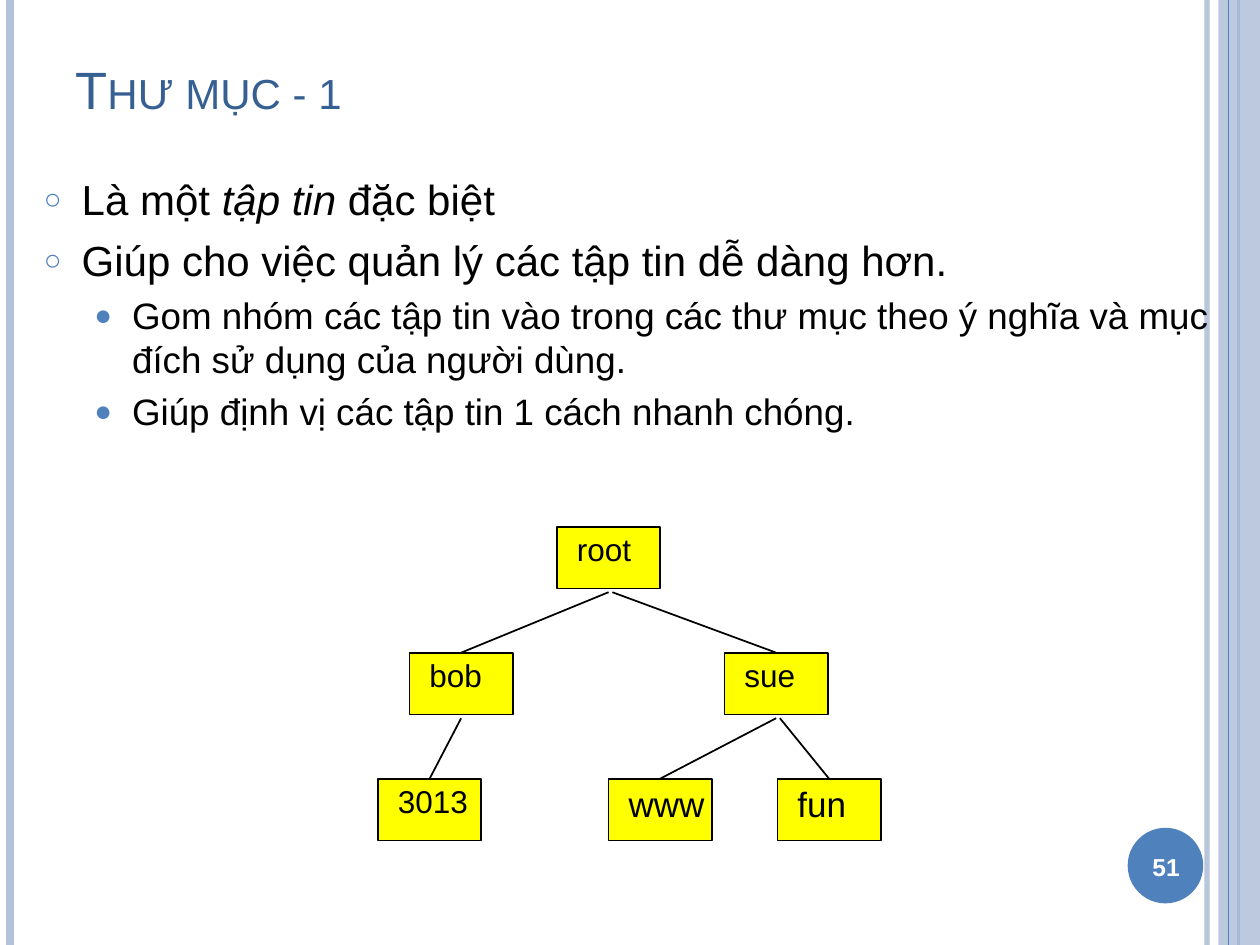
from lxml import etree
from pptx import Presentation
from pptx import util as u
from pptx.dml.color import RGBColor
from pptx.enum import shapes, text
from pptx.oxml import ns

BLACK = RGBColor(0x00, 0x00, 0x00)
WHITE = RGBColor(0xFF, 0xFF, 0xFF)
YELLOW = RGBColor(0xFF, 0xFF, 0x00)
BLUE = RGBColor(0x4F, 0x81, 0xBD)
NAVY = RGBColor(0x37, 0x60, 0x92)
PALE = RGBColor(0xB3, 0xC1, 0xDB)

BOX_W, BOX_H, GAP = 0.82, 0.49, 0.03


def add_run(para, words, size=18, color=BLACK, bold=False, italic=False, caps=False):
    run = para.add_run()
    run.text = words
    font = run.font
    font.name, font.size, font.color.rgb = "Arial", u.Pt(size), color
    font.bold, font.italic = bold, italic
    if caps:
        run._r.get_or_add_rPr().set("cap", "small")


def sub(parent, tag, **attrs):
    return etree.SubElement(parent, ns.qn(tag), attrs)


def fade(fill_owner, percent):
    """Set the opacity of the solid colour inside an element."""
    color = next(fill_owner.iter(ns.qn("a:srgbClr")))
    sub(color, "a:alpha", val=str(percent * 1000))


def add_bullet(para, char, size, left, hang):
    props = para._p.get_or_add_pPr()
    props.set("marL", str(u.Inches(left)))
    props.set("indent", str(-u.Inches(hang)))
    sub(sub(props, "a:buClr"), "a:srgbClr", val=str(BLUE))
    sub(props, "a:buSzPct", val=str(size * 1000))
    sub(props, "a:buFont", typeface="Arial")
    sub(props, "a:buChar", char=char)


class Deck:
    def __init__(self, width, height):
        self.show = Presentation()
        self.show.slide_width = u.Inches(width)
        self.show.slide_height = u.Inches(height)
        self.slide = self.show.slides.add_slide(self.show.slide_layouts[6])

    def shape(self, kind, left, top, width, height, fill, edge=None, alpha=None):
        item = self.slide.shapes.add_shape(kind, *map(u.Inches, (left, top, width, height)))
        item.shadow.inherit = False
        item.fill.solid()
        item.fill.fore_color.rgb = fill
        if edge is None:
            item.line.fill.background()
        else:
            item.line.color.rgb = edge
            item.line.width = u.Pt(1)
        if alpha:
            fade(item._element.spPr, alpha)
        return item

    def line(self, start, end, color=BLACK, width=1, alpha=None):
        item = self.slide.shapes.add_connector(
            shapes.MSO_CONNECTOR.STRAIGHT, *map(u.Inches, (*start, *end)))
        item.line.color.rgb = color
        item.line.width = u.Pt(width)
        if alpha:
            fade(item._element.spPr, alpha)
        sub(item._element.spPr, "a:effectLst")
        return item

    def frame(self, left, top, width, height, anchor=text.MSO_ANCHOR.TOP, wrap=True):
        item = self.slide.shapes.add_textbox(*map(u.Inches, (left, top, width, height)))
        frame = item.text_frame
        frame.word_wrap = wrap
        frame.vertical_anchor = anchor
        if not wrap:
            frame.auto_size = text.MSO_AUTO_SIZE.SHAPE_TO_FIT_TEXT
        return frame

    def node(self, name, left, top, width, size=18):
        """Draw a yellow tree box with its label."""
        box = self.shape(shapes.MSO_SHAPE.RECTANGLE, left, top, BOX_W, BOX_H, YELLOW, BLACK)
        high = 0.4 if size == 18 else 0.44
        label = self.frame(left + 0.06, top - 0.02, width, high, wrap=False)
        add_run(label.paragraphs[0], name, size=size)
        return box


def add_frame_art(deck):
    for x, color, width, alpha in ((9.58, PALE, 3, 93), (0.08, PALE, 4.5, None),
                                   (9.83, BLUE, 1.5, None)):
        deck.line((x, 0), (x, 7.5), color, width, alpha)
    deck.shape(shapes.MSO_SHAPE.RECTANGLE, 9.67, 0, 0.33, 7.5, PALE, alpha=87)
    deck.line((9.75, 0), (9.75, 7.5), BLUE, 0.75)
    deck.shape(shapes.MSO_SHAPE.OVAL, 8.95, 6.57, 0.6, 0.6, BLUE)


def add_words(deck):
    title = deck.frame(0.5, 0.3, 8.42, 0.7, text.MSO_ANCHOR.BOTTOM)
    add_run(title.paragraphs[0], "Thư mục - 1", size=30, color=NAVY, caps=True)

    body = deck.frame(0.25, 1.33, 9.75, 5.67)
    points = (
        (0, (("Là một ", False), ("tập tin ", True), ("đặc biệt", False))),
        (0, (("Giúp cho việc quản lý các tập tin dễ dàng hơn.", False),)),
        (1, (("Gom nhóm các tập tin vào trong các thư mục theo ý nghĩa và mục "
              "đích sử dụng của người dùng.", False),)),
        (1, (("Giúp định vị các tập tin 1 cách nhanh chóng.", False),)),
    )
    levels = (("○", 70, 0.3, 24, 6), ("●", 80, 0.7, 21, 4.5))
    for i, (level, runs) in enumerate(points):
        char, scale, left, size, space = levels[level]
        para = body.add_paragraph() if i else body.paragraphs[0]
        para.level = level
        para.space_before = u.Pt(space)
        add_bullet(para, char, scale, left, 0.3)
        for words, italic in runs:
            add_run(para, words, size=size, italic=italic)

    number = deck.frame(8.92, 6.59, 0.67, 0.57, text.MSO_ANCHOR.MIDDLE)
    number.paragraphs[0].alignment = text.PP_ALIGN.CENTER
    add_run(number.paragraphs[0], "51", size=14, color=WHITE, bold=True)


def add_tree(deck):
    nodes = {
        "root": (4.42, 4.18, 0.64),
        "bob": (3.25, 5.18, 0.62),
        "sue": (5.75, 5.18, 0.61),
        "www": (4.83, 6.18, 0.81, 20),
        "fun": (6.17, 6.18, 0.59, 20),
        "3013": (3, 6.18, 0.76),
    }
    boxes = {name: deck.node(name, *place) for name, place in nodes.items()}
    links = (("root", "bob", 0), ("root", "sue", GAP), ("bob", "3013", 0),
             ("sue", "www", 0), ("sue", "fun", GAP))
    for parent, child, shift in links:
        left, top = nodes[parent][:2]
        start = (left + BOX_W / 2 + shift, top + BOX_H + GAP)
        link = deck.line(start, nodes[child][:2])
        link.end_connect(boxes[child], 0)


def main():
    deck = Deck(10, 7.5)
    add_frame_art(deck)
    add_words(deck)
    add_tree(deck)
    deck.show.save("out.pptx")


if __name__ == "__main__":
    main()
